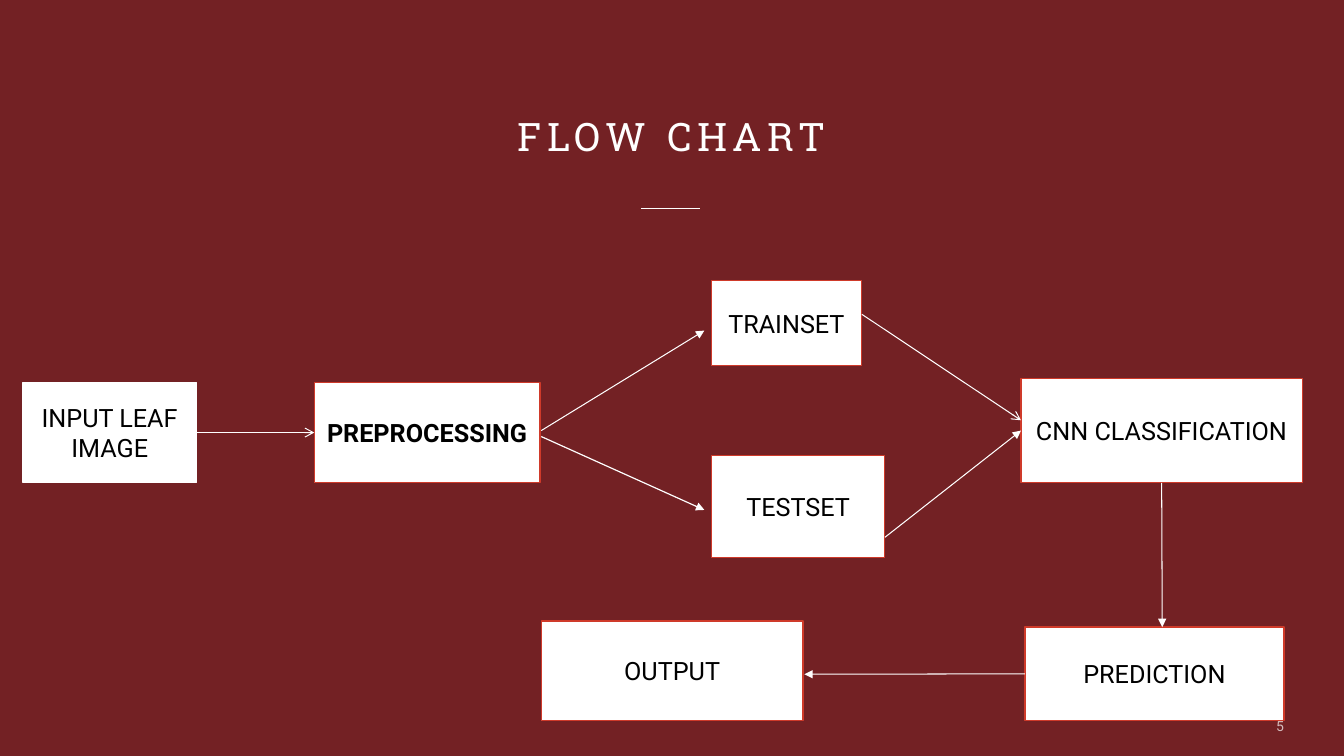
import pptx
import pptx.dml.color
import pptx.enum.shapes
import pptx.enum.text
import pptx.oxml.ns
import pptx.util
from lxml import etree

Cm = pptx.util.Cm
COLORS = {"background": "732124", "white": "FFFFFF", "border": "CF3A2A", "text": "000000"}
TITLE = "FLOW CHART"
PAGE_NUMBER = "5"
RULE = ((16.15, 5.26), (17.65, 5.26))
BOXES = {
    "input": ("INPUT LEAF IMAGE", 0.58, 9.63, 4.37, 2.54),
    "preprocessing": ("PREPROCESSING", 7.92, 9.63, 5.69, 2.54),
    "trainset": ("TRAINSET", 17.93, 7.06, 3.78, 2.16),
    "testset": ("TESTSET", 17.93, 11.48, 4.37, 2.57),
    "cnn": ("CNN CLASSIFICATION", 25.73, 9.53, 7.09, 2.64),
    "prediction": ("PREDICTION", 25.83, 15.8, 6.53, 2.36),
    "output": ("OUTPUT", 13.64, 15.65, 6.6, 2.51),
}
TOP, LEFT, BOTTOM, RIGHT = range(4)
ARROWS = [
    (("input", RIGHT), ("preprocessing", LEFT), 0.75, "arrow"),
    ((13.64, 10.85), (17.75, 8.33), 0.75, "triangle"),
    ((13.64, 11), (17.75, 12.85), 0.85, "triangle"),
    ((21.72, 7.92), (25.73, 10.59), 0.75, "arrow"),
    ((22.3, 13.54), ("cnn", LEFT), 0.75, "triangle"),
    (("cnn", BOTTOM), (29.29, 15.8), 0.75, "triangle"),
    (("prediction", LEFT), (20.27, 16.99), 0.75, "triangle"),
]


def rgb(name):
    return pptx.dml.color.RGBColor.from_string(COLORS[name])


def add_element(parent, tag, **attributes):
    return etree.SubElement(parent, pptx.oxml.ns.qn(tag), **attributes)


def write_text(shape, text, size=18, font="Roboto", color="text", bold=False,
               align="CENTER", anchor="MIDDLE", spacing=0, alpha=None, inset=None):
    frame = shape.text_frame
    frame.word_wrap = True
    frame.auto_size = pptx.enum.text.MSO_AUTO_SIZE.NONE
    frame.vertical_anchor = pptx.enum.text.MSO_ANCHOR[anchor]
    if inset is not None:
        frame.margin_left = frame.margin_right = Cm(inset)
        frame.margin_top = frame.margin_bottom = Cm(inset)
    paragraph = frame.paragraphs[0]
    paragraph.alignment = pptx.enum.text.PP_ALIGN[align]
    run = paragraph.add_run()
    run.text = text
    run.font.size = pptx.util.Pt(size)
    run.font.name = font
    run.font.bold = bold
    run.font.color.rgb = rgb(color)
    properties = run.font._element
    if spacing:
        properties.set("spc", str(spacing * 100))
    if alpha is not None:
        color_element = properties.find(".//" + pptx.oxml.ns.qn("a:srgbClr"))
        add_element(color_element, "a:alpha", val=str(alpha * 1000))


def add_line(slide, boxes, start, end, width, head=None):
    points = [(0, 0) if point[0] in boxes else point for point in (start, end)]
    connector = slide.shapes.add_connector(
        pptx.enum.shapes.MSO_CONNECTOR.STRAIGHT,
        *[Cm(value) for point in points for value in point])
    if start[0] in boxes:
        connector.begin_connect(boxes[start[0]], start[1])
    if end[0] in boxes:
        connector.end_connect(boxes[end[0]], end[1])
    connector.line.color.rgb = rgb("white")
    connector.line.width = pptx.util.Pt(width)
    if head:
        add_element(connector.line._get_or_add_ln(), "a:tailEnd", type=head)
    add_element(connector._element.spPr, "a:effectLst")


def add_box(slide, name):
    text, *place = BOXES[name]
    box = slide.shapes.add_shape(
        pptx.enum.shapes.MSO_SHAPE.RECTANGLE, *[Cm(value) for value in place])
    box.shadow.inherit = False
    box.fill.solid()
    box.fill.fore_color.rgb = rgb("white")
    box.line.color.rgb = rgb("white" if name == "input" else "border")
    box.line.width = pptx.util.Pt(0.85)
    write_text(box, text, bold=name == "preprocessing")
    return box


def main():
    presentation = pptx.Presentation()
    presentation.slide_width = Cm(33.87)
    presentation.slide_height = Cm(19.05)
    slide = presentation.slides.add_slide(presentation.slide_layouts[5])
    slide.background.fill.solid()
    slide.background.fill.fore_color.rgb = rgb("background")

    title = slide.shapes.title
    title.left, title.top, title.width, title.height = Cm(3), Cm(1.47), Cm(27.86), Cm(2.54)
    write_text(title, TITLE, size=28, font="Roboto Slab", color="white",
               anchor="BOTTOM", spacing=4, inset=0)
    number = slide.shapes.add_textbox(Cm(26.24), Cm(17.78), Cm(6.12), Cm(1.02))
    write_text(number, PAGE_NUMBER, size=10, color="white", align="RIGHT",
               spacing=3, alpha=70, inset=0)

    boxes = {name: add_box(slide, name) for name in BOXES}
    add_line(slide, boxes, *RULE, 1)
    for arrow in ARROWS:
        add_line(slide, boxes, *arrow)
    presentation.save("out.pptx")


if __name__ == "__main__":
    main()
